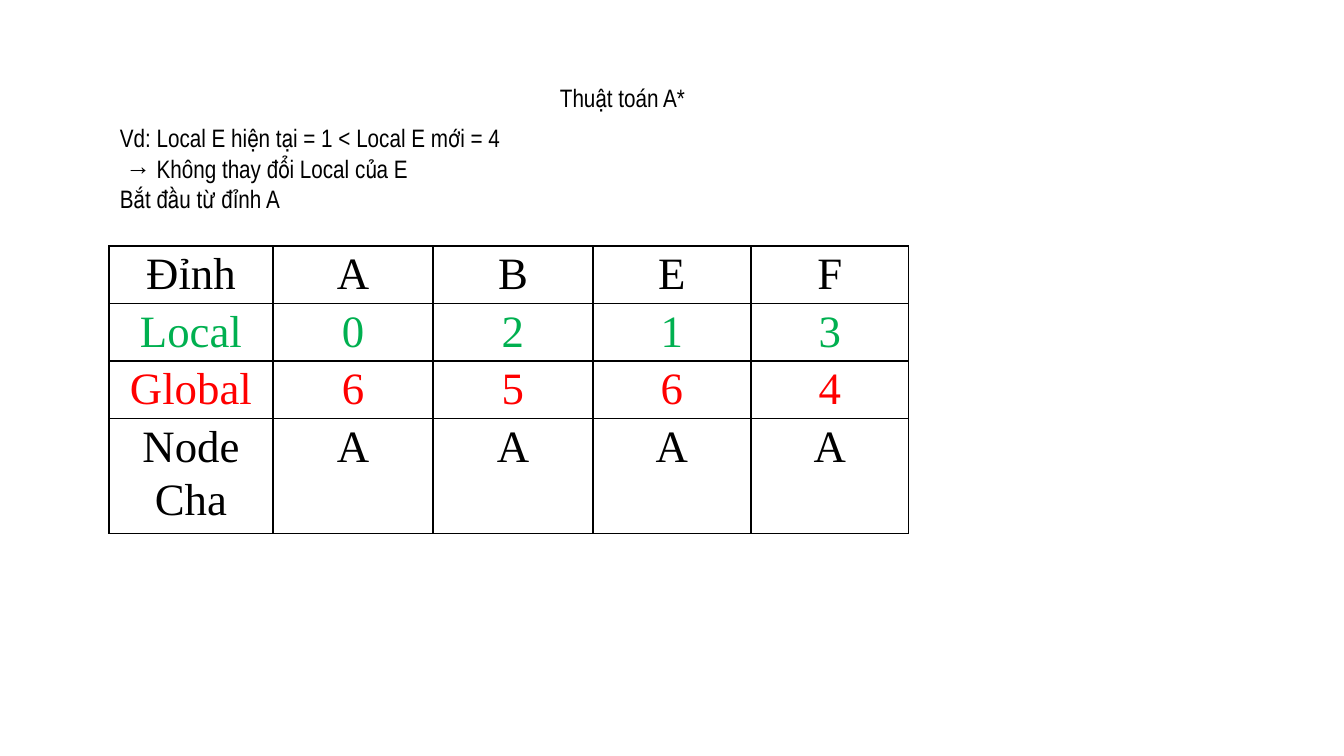
from lxml import etree
from pptx import Presentation
from pptx.dml.color import RGBColor
from pptx.enum.text import MSO_ANCHOR, MSO_AUTO_SIZE, PP_ALIGN
from pptx.oxml.ns import qn
from pptx.util import Pt

CENTER = PP_ALIGN.CENTER
TOP, MIDDLE = MSO_ANCHOR.TOP, MSO_ANCHOR.MIDDLE
GROW = MSO_AUTO_SIZE.SHAPE_TO_FIT_TEXT
BLACK = RGBColor(0x00, 0x00, 0x00)
GREEN = RGBColor(0x00, 0xB0, 0x50)
RED = RGBColor(0xFF, 0x00, 0x00)


def px(n):
    return round(n * 914400 / 100.8)


def write(p, text, **font):
    r = p.add_run()
    r.text = text
    r.font.color.rgb = font.pop("color")
    for name, value in font.items():
        setattr(r.font, name, value)


prs = Presentation()
prs.slide_width, prs.slide_height = px(1344), px(756)
s = prs.slides.add_slide(prs.slide_layouts[6])

# Title and explanation
notes = [
    ((550, 77, 174, 40), False, TOP, ["Thuật toán A*"]),
    ((110, 117, 653, 102), True, MIDDLE, [
        "Vd: Local E hiện tại = 1 < Local E mới = 4",
        " → Không thay đổi Local của E",
        "Bắt đầu từ đỉnh A",
    ]),
]
for box, wrap, anchor, lines in notes:
    tf = s.shapes.add_textbox(*map(px, box)).text_frame
    tf.word_wrap, tf.vertical_anchor, tf.auto_size = wrap, anchor, GROW
    for i, line in enumerate(lines):
        p = tf.add_paragraph() if i else tf.paragraphs[0]
        write(p, line, size=Pt(18), name="Arial Narrow", color=BLACK)

# Table of vertices
col_widths = [164, 160, 160, 158, 158]
row_heights = [57, 57, 57, 115]
rows = [
    (BLACK, ["Đỉnh", "A", "B", "E", "F"]),
    (GREEN, ["Local", "0", "2", "1", "3"]),
    (RED, ["Global", "6", "5", "6", "4"]),
    (BLACK, ["Node Cha", "A", "A", "A", "A"]),
]
cell_format = {"margin_left": px(7), "margin_right": px(7),
               "margin_top": 0, "margin_bottom": 0, "vertical_anchor": TOP}
par_format = {"alignment": CENTER, "line_spacing": 1.07, "space_after": Pt(8)}

table = s.shapes.add_table(len(rows), len(col_widths), px(109), px(246),
                           px(sum(col_widths)), px(sum(row_heights))).table
table.first_row = table.horz_banding = False
for col, width in zip(table.columns, col_widths):
    col.width = px(width)
for row, height in zip(table.rows, row_heights):
    row.height = px(height)

for i, (color, values) in enumerate(rows):
    for j, value in enumerate(values):
        cell = table.cell(i, j)
        for name, setting in cell_format.items():
            setattr(cell, name, setting)
        p = cell.text_frame.paragraphs[0]
        for name, setting in par_format.items():
            setattr(p, name, setting)
        write(p, value, size=Pt(32), name="Times New Roman", color=color)
        # Black borders come before the fill in the cell properties
        tcPr = cell._tc.get_or_add_tcPr()
        for side in ("a:lnL", "a:lnR", "a:lnT", "a:lnB"):
            ln = etree.SubElement(tcPr, qn(side), w=str(Pt(1)))
            fill = etree.SubElement(ln, qn("a:solidFill"))
            etree.SubElement(fill, qn("a:srgbClr"), val=str(BLACK))
        cell.fill.background()

prs.save("out.pptx")
